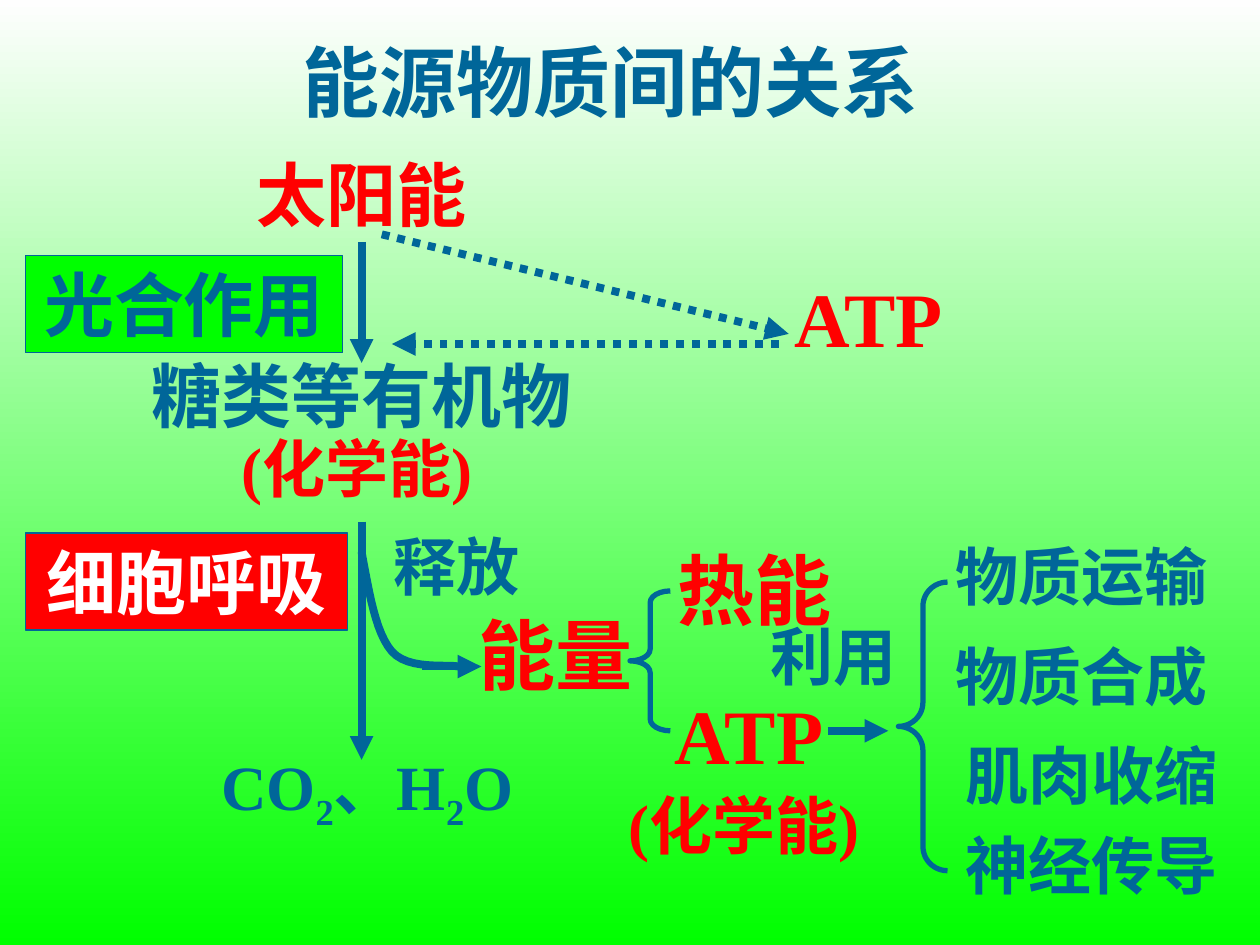
from dataclasses import dataclass

from pptx import Presentation
from pptx.dml.color import RGBColor
from pptx.enum.dml import MSO_LINE
from pptx.enum.shapes import MSO_CONNECTOR, MSO_SHAPE
from pptx.enum.text import MSO_ANCHOR, MSO_AUTO_SIZE, PP_ALIGN
from pptx.oxml.ns import qn
from pptx.util import Inches, Pt
from lxml.etree import SubElement

COLUMNS, ROWS = 100, 75


@dataclass(frozen=True)
class Theme:
    font: str = "Times New Roman"
    blue: str = "006699"
    red: str = "FF0000"
    green: str = "00FF00"
    white: str = "FFFFFF"
    sky: str = "FEFEFE"
    large: int = 44
    medium: int = 40
    small: int = 36
    arrow: float = 4.5
    brace: float = 3
    border: float = 0.75


def apply(target, values):
    for name, value in values.items():
        setattr(target, name, value)


def bezier(start, control_1, control_2, end, steps=12):
    points = []
    for step in range(1, steps + 1):
        t = step / steps
        weights = ((1 - t) ** 3, 3 * t * (1 - t) ** 2, 3 * t * t * (1 - t), t ** 3)
        corners = (start, control_1, control_2, end)
        points.append(tuple(sum(w * c[axis] for w, c in zip(weights, corners))
                            for axis in (0, 1)))
    return points


class Diagram:
    def __init__(self, presentation, theme):
        self.theme = theme
        self.column = presentation.slide_width / COLUMNS
        self.row = presentation.slide_height / ROWS
        self.slide = presentation.slides.add_slide(presentation.slide_layouts[6])
        self.shapes = self.slide.shapes

    def place(self, *lengths):
        units = (self.column, self.row) * (len(lengths) // 2)
        return [round(length * unit) for length, unit in zip(lengths, units)]

    def background(self, top, bottom):
        fill = self.slide.background.fill
        fill.gradient()
        fill.gradient_angle = 270
        for stop, color, position in zip(fill.gradient_stops, (top, bottom), (0, 1)):
            stop.color.rgb = RGBColor.from_string(color)
            stop.position = position

    def set_text(self, shape, text, size, color, **extra):
        frame = shape.text_frame
        apply(frame, {"word_wrap": True, "auto_size": MSO_AUTO_SIZE.SHAPE_TO_FIT_TEXT,
                      "vertical_anchor": MSO_ANCHOR.TOP, **extra})
        paragraph = frame.paragraphs[0]
        paragraph.alignment = PP_ALIGN.CENTER
        for index, part in enumerate(text.split("_")):
            run = paragraph.add_run()
            run.text = part
            apply(run.font, {"name": self.theme.font, "size": Pt(size), "bold": True})
            run.font.color.rgb = RGBColor.from_string(color)
            if index % 2:
                run._r.get_or_add_rPr().set("baseline", "-25000")
        return shape

    def label(self, text, place, size, color, **extra):
        return self.set_text(self.shapes.add_textbox(*self.place(*place)),
                             text, size, color, **extra)

    def title(self, text, place):
        box = self.label(text, place, self.theme.large, self.theme.blue,
                         auto_size=MSO_AUTO_SIZE.NONE,
                         vertical_anchor=MSO_ANCHOR.MIDDLE)
        box.text_frame.paragraphs[0].line_spacing = 0.9

    def stroke(self, shape, width):
        shape.line.color.rgb = RGBColor.from_string(self.theme.blue)
        shape.line.width = Pt(width)

    def process(self, text, place, fill, color):
        shape = self.shapes.add_shape(MSO_SHAPE.RECTANGLE, *self.place(*place))
        shape.shadow.inherit = False
        shape.fill.solid()
        shape.fill.fore_color.rgb = RGBColor.from_string(fill)
        self.stroke(shape, self.theme.border)
        self.set_text(shape, text, self.theme.medium, color)

    def brace(self, place, curve):
        shape = self.shapes.add_shape(MSO_SHAPE.LEFT_BRACE, *self.place(*place))
        shape.adjustments[0] = curve
        shape.shadow.inherit = False
        shape.fill.background()
        self.stroke(shape, self.theme.brace)

    def arrow(self, start, end, dotted=False, source=None):
        connector = self.shapes.add_connector(MSO_CONNECTOR.STRAIGHT,
                                              *self.place(*start, *end))
        if source is not None:
            connector.begin_connect(source, 2)
        self.stroke(connector, self.theme.arrow)
        if dotted:
            connector.line.dash_style = MSO_LINE.ROUND_DOT
        properties = connector._element.spPr
        SubElement(properties.find(qn("a:ln")), qn("a:tailEnd"), type="triangle")
        SubElement(properties, qn("a:effectLst"))

    def curve(self, start, *segments):
        points, current = [], start
        for segment in segments:
            points += bezier(current, *segment)
            current = segment[-1]
        builder = self.shapes.build_freeform(*self.place(*start))
        builder.add_line_segments([self.place(*point) for point in points], close=False)
        shape = builder.convert_to_shape()
        shape.shadow.inherit = False
        shape.fill.background()
        self.stroke(shape, self.theme.arrow)


def main():
    presentation = Presentation()
    apply(presentation, {"slide_width": Inches(10), "slide_height": Inches(7.5)})
    theme = Theme()
    diagram = Diagram(presentation, theme)
    diagram.background(theme.sky, theme.green)
    diagram.title("能源物质间的关系", (6.7, 2.1, 83.5, 9.5))

    diagram.process("光合作用", (2, 20.3, 25.2, 7.7), theme.green, theme.blue)
    diagram.process("细胞呼吸", (2, 42.3, 25.6, 7.7), theme.red, theme.white)

    sunlight = diagram.label("太阳能", (15.3, 11.5, 26.8, 7.7), theme.medium, theme.red)
    labels = [
        ("糖类等有机物", (9.8, 27.5, 37.8, 7.7), theme.medium, theme.blue),
        ("(化学能)", (11.4, 33.6, 33.9, 7), theme.small, theme.red),
        ("释放", (27.2, 41.4, 18.1, 7), theme.small, theme.blue),
        ("CO_2_、H_2_O", (13.8, 58.8, 30.7, 7.9), theme.small, theme.blue),
        ("能量", (36.6, 47.7, 15, 8.4), theme.large, theme.red),
        ("热能", (52.4, 42.6, 15, 8.4), theme.large, theme.red),
        ("ATP", (49.2, 54.1, 20.5, 8.4), theme.large, theme.red),
        ("(化学能)", (44.5, 61.9, 29.1, 7), theme.small, theme.red),
        ("利用", (57.1, 48.5, 18.1, 7), theme.small, theme.blue),
        ("ATP", (58.7, 21, 20.5, 8.4), theme.large, theme.red),
    ]
    uses = [("物质运输", 74.4, 42.2), ("物质合成", 74.4, 50.1),
            ("肌肉收缩", 75.2, 58), ("神经传导", 75.2, 65.1)]
    labels += [(text, (left, top, 22.8, 7), theme.small, theme.blue)
               for text, left, top in uses]
    for label in labels:
        diagram.label(*label)

    diagram.brace((50, 46.9, 3.2, 11.1), 0.29)
    diagram.brace((71.3, 46.2, 3.9, 22.9), 0.49)

    diagram.arrow((28.7, 19.4), (28.7, 28.8), source=sunlight)
    diagram.arrow((28.7, 41.4), (28.7, 60.3))
    diagram.curve((28.7, 43.8),
                  ((29.3, 47), (29.8, 50.2), (31.1, 51.7)),
                  ((32.4, 53.2), (35.5, 52.7), (36.4, 52.9)))
    diagram.arrow((33.5, 52.9), (38.2, 52.9))
    diagram.arrow((65.7, 58), (70.5, 58))
    diagram.arrow((30.3, 18.6), (62.6, 26.5), dotted=True)
    diagram.arrow((61.8, 27.3), (31.1, 27.3), dotted=True)
    presentation.save("out.pptx")


if __name__ == "__main__":
    main()
